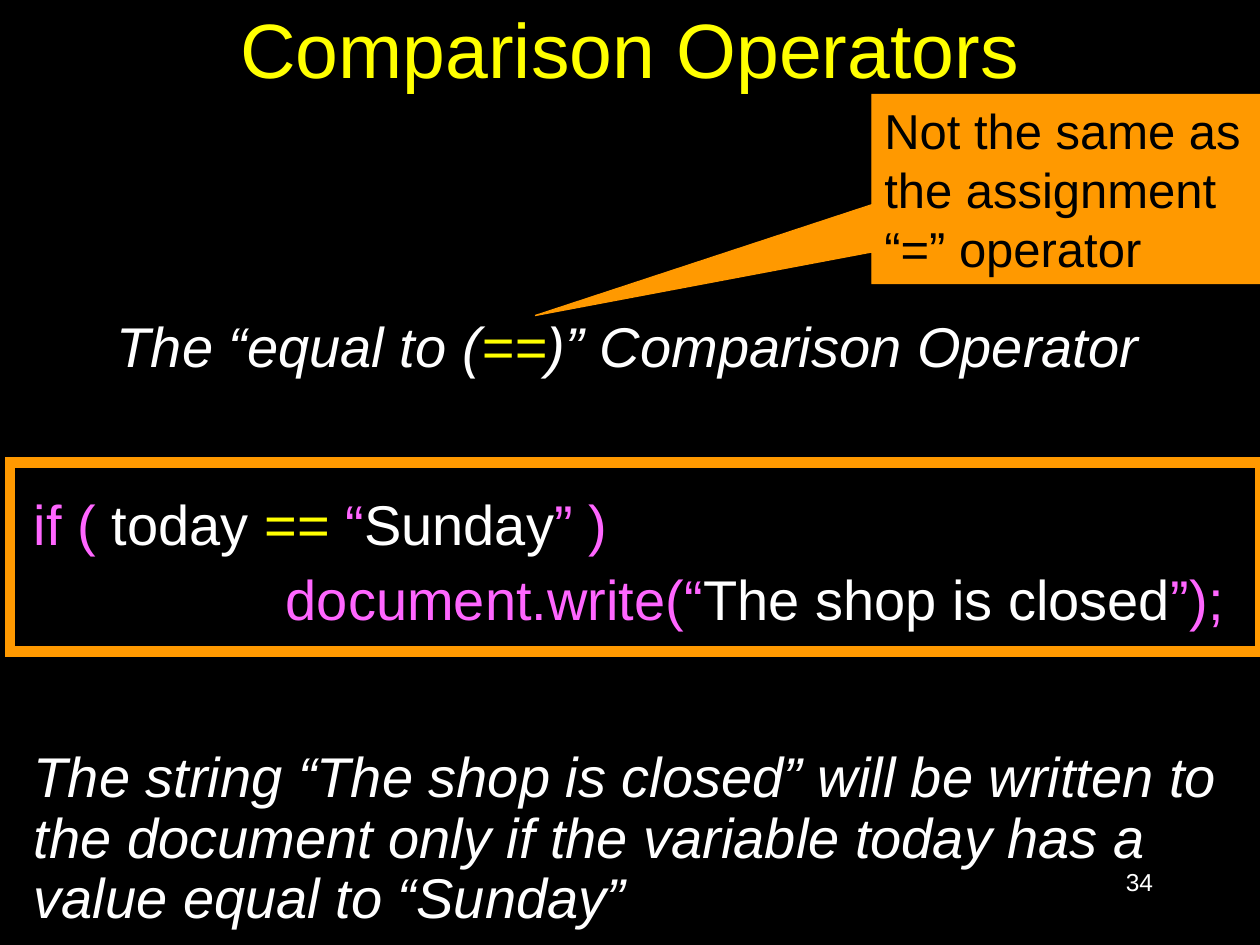
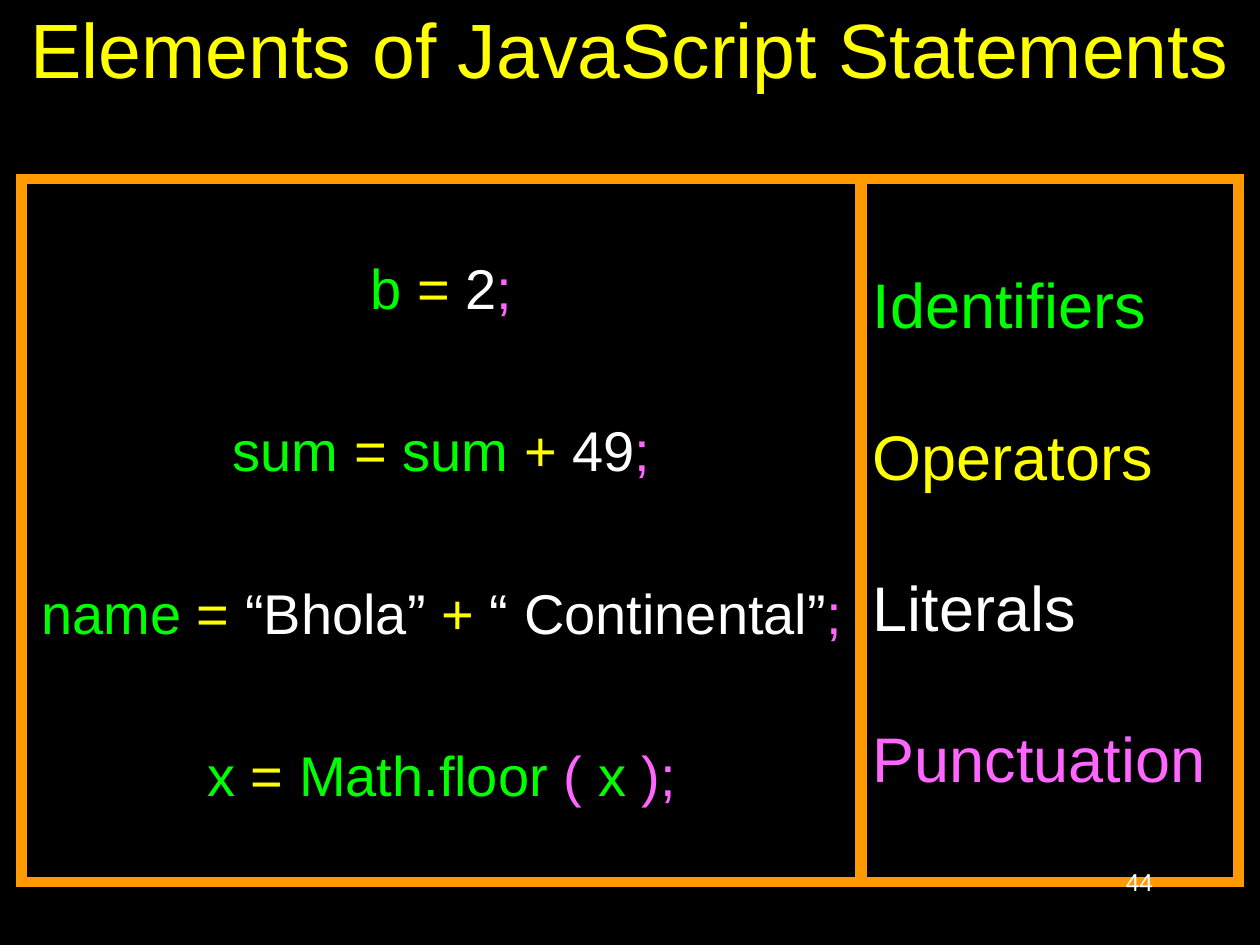
from dataclasses import dataclass

from lxml.etree import SubElement
from pptx import Presentation
from pptx.dml.color import RGBColor as Rgb
from pptx.enum.shapes import MSO_SHAPE as Shape
from pptx.enum.text import MSO_ANCHOR as Anchor, PP_ALIGN as Align
from pptx.oxml.ns import qn
from pptx.util import Inches, Pt


@dataclass(frozen=True)
class Theme:
    font: str = "Arial"
    background: Rgb = Rgb(0, 0, 0)
    frame: Rgb = Rgb(0xFF, 0x99, 0x00)
    # Syntax colours
    operator: Rgb = Rgb(0xFF, 0xFF, 0x00)
    literal: Rgb = Rgb(0xFF, 0xFF, 0xFF)
    identifier: Rgb = Rgb(0x00, 0xFF, 0x00)
    punctuation: Rgb = Rgb(0xFF, 0x66, 0xFF)
    # Type sizes and line heights
    title_size: int = 44
    legend_size: int = 36
    body_size: int = 32
    callout_size: int = 28
    number_size: int = 14
    leading: float = 1.2
    tight: float = 1.08


THEME = Theme()
OPERATOR, LITERAL = THEME.operator, THEME.literal
IDENTIFIER, PUNCTUATION = THEME.identifier, THEME.punctuation


def write(shape, lines, size, align=Align.LEFT, anchor=Anchor.TOP,
          leading=THEME.leading, gap=0, italic=False):
    """Fill a shape with lines, each a list of (text, colour) spans."""
    frame = shape.text_frame
    frame.word_wrap = True
    frame.vertical_anchor = anchor
    for index, line in enumerate(lines):
        para = frame.paragraphs[0] if index == 0 else frame.add_paragraph()
        para.alignment = align
        para.line_spacing = Pt(size * leading)
        para.space_before = Pt(gap if index else 0)
        para.font.name = THEME.font
        para.font.size = Pt(size)
        para.font.italic = italic
        for text, colour in line:
            span = para.add_run()
            span.text = text
            span.font.color.rgb = colour
    return frame.paragraphs


def add_text(page, left, top, width, height, lines, size, **style):
    box = page.shapes.add_textbox(
        Inches(left), Inches(top), Inches(width), Inches(height))
    return write(box, lines, size, **style)


def add_outlined(page, kind, left, top, width, height, weight):
    shape = page.shapes.add_shape(
        kind, Inches(left), Inches(top), Inches(width), Inches(height))
    shape.shadow.inherit = False
    shape.fill.background()
    shape.line.color.rgb = THEME.frame
    shape.line.width = Pt(weight)
    # Square corners
    outline = shape._element.spPr.find(qn("a:ln"))
    SubElement(outline, qn("a:miter"), lim="800000")
    return shape


def add_panel(page, left, top, width, height):
    return add_outlined(page, Shape.RECTANGLE, left, top, width, height, 6)


def add_callout(page, left, top, width, height, tail, text):
    callout = add_outlined(
        page, Shape.RECTANGULAR_CALLOUT, left, top, width, height, 0.75)
    callout.fill.solid()
    callout.fill.fore_color.rgb = THEME.frame
    callout.adjustments[0], callout.adjustments[1] = tail
    write(callout, [[(text, THEME.background)]], THEME.callout_size)


def add_page(deck, title):
    page = deck.slides.add_slide(deck.slide_layouts[6])
    page.background.fill.solid()
    page.background.fill.fore_color.rgb = THEME.background
    add_text(page, 0, -0.25, 10, 1.25, [[(title, OPERATOR)]],
             THEME.title_size, align=Align.CENTER, anchor=Anchor.MIDDLE)
    return page


def add_number(page, number):
    add_text(page, 7.17, 6.83, 2.08, 0.5, [[(number, LITERAL)]],
             THEME.number_size, align=Align.RIGHT)


def build_comparison(deck):
    page = add_page(deck, "Comparison Operators")
    left, width = 0.17, 9.75

    # Heading
    heading = [("The “equal to (", LITERAL), ("==", OPERATOR),
               (")” Comparison Operator ", LITERAL)]
    add_text(page, left, 2.48, width, 0.6, [heading], THEME.body_size,
             align=Align.CENTER, leading=THEME.tight, italic=True)

    # Framed code
    code = [
        [("if (", PUNCTUATION), (" today", LITERAL), (" == ", OPERATOR),
         ("“", PUNCTUATION), ("Sunday", LITERAL), ("” )", PUNCTUATION)],
        [("document.write(“", PUNCTUATION), ("The shop is closed", LITERAL),
         ("”);", PUNCTUATION)],
    ]
    statement = add_text(page, left, 3.89, width, 1.2, code, THEME.body_size,
                         leading=THEME.tight, gap=8)[1]
    indent = statement._p.get_or_add_pPr()
    indent.set("marL", str(Inches(2)))
    indent.set("indent", "0")
    add_panel(page, 0.08, 3.67, 9.92, 1.5)

    # Explanation
    meaning = ("The string “The shop is closed” will be written to the document "
               "only if the variable today has a value equal to “Sunday”")
    add_text(page, left, 5.89, width, 1.6, [[(meaning, LITERAL)]],
             THEME.body_size, leading=THEME.tight, italic=True)

    add_callout(page, 6.92, 0.75, 3.08, 1.5, (-1.368, 0.67),
                "Not the same as the assignment “=” operator")
    add_number(page, "34")


def build_elements(deck):
    page = add_page(deck, "Elements of JavaScript Statements")
    top, height = 1.42, 5.58

    # Sample statements
    statements = [
        [("b ", IDENTIFIER), ("=", OPERATOR), (" 2", LITERAL),
         (";", PUNCTUATION)],
        [("sum ", IDENTIFIER), ("= ", OPERATOR), ("sum ", IDENTIFIER),
         ("+", OPERATOR), (" 49", LITERAL), (";", PUNCTUATION)],
        [("name ", IDENTIFIER), ("=", OPERATOR), (" “Bhola” ", LITERAL),
         ("+", OPERATOR), (" “ Continental”", LITERAL), (";", PUNCTUATION)],
        [("x ", IDENTIFIER), ("= ", OPERATOR), ("Math.floor ", IDENTIFIER),
         ("( ", PUNCTUATION), ("x ", IDENTIFIER), (");", PUNCTUATION)],
    ]
    write(add_panel(page, 0.17, top, 6.67, height), statements,
          THEME.body_size, align=Align.CENTER, anchor=Anchor.MIDDLE,
          gap=THEME.body_size * THEME.leading + 16)

    # Colour legend
    legend = [[("Identifiers", IDENTIFIER)], [("Operators", OPERATOR)],
              [("Literals", LITERAL)], [("Punctuation", PUNCTUATION)]]
    write(add_panel(page, 6.83, top, 3, height), legend, THEME.legend_size,
          anchor=Anchor.MIDDLE, gap=THEME.legend_size * THEME.leading)

    add_number(page, "44")


def main():
    deck = Presentation()
    deck.slide_width, deck.slide_height = Inches(10), Inches(7.5)
    build_comparison(deck)
    build_elements(deck)
    deck.save("out.pptx")


if __name__ == "__main__":
    main()
